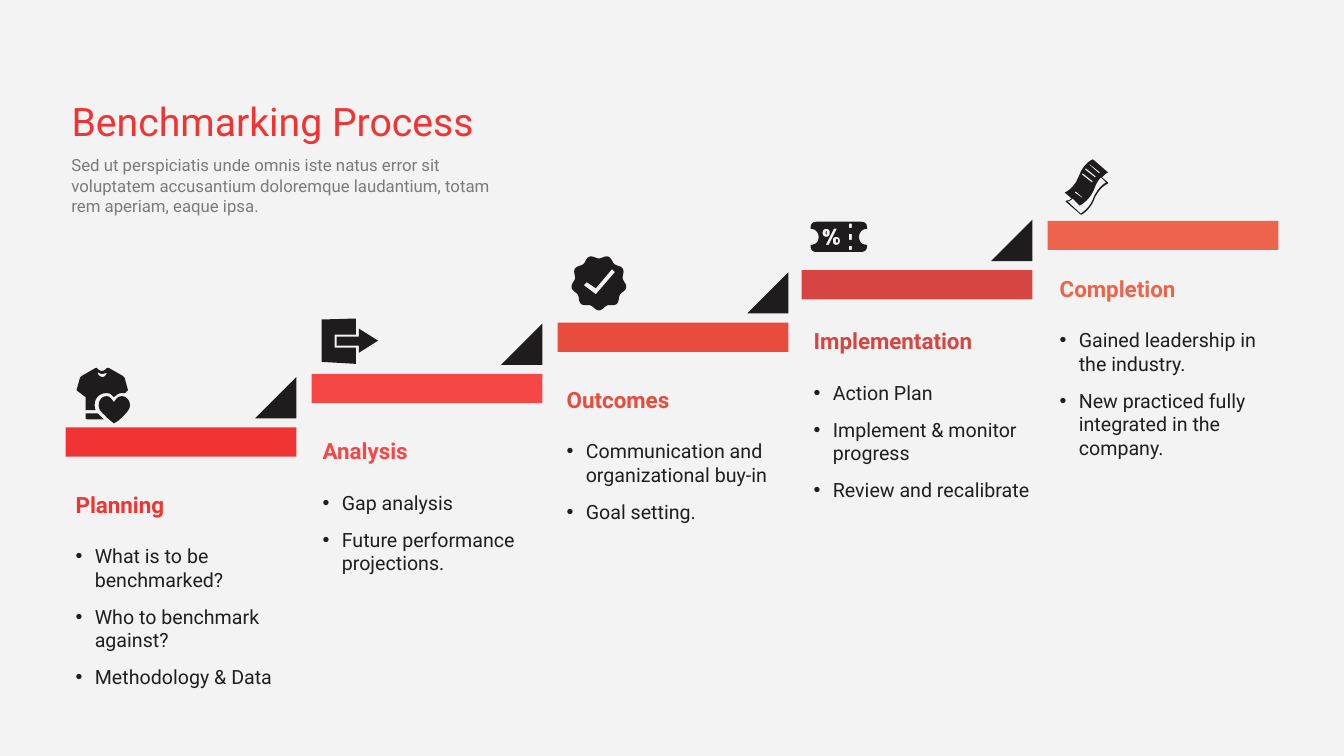
from copy import deepcopy
from dataclasses import dataclass
from math import cos, pi, sin

from lxml import etree
from pptx import Presentation
from pptx.dml.color import RGBColor
from pptx.enum.shapes import MSO_SHAPE
from pptx.enum.text import MSO_ANCHOR, MSO_AUTO_SIZE, PP_ALIGN
from pptx.oxml.ns import qn
from pptx.shapes.base import BaseShape
from pptx.slide import Slide, SlideLayout
from pptx.text.text import TextFrame
from pptx.util import Emu, Pt

RECTANGLE = MSO_SHAPE.RECTANGLE
TOP, BOTTOM = MSO_ANCHOR.TOP, MSO_ANCHOR.BOTTOM
LEFT = PP_ALIGN.LEFT
NO_AUTOFIT = MSO_AUTO_SIZE.NONE

EMU_PER_PX = 9144
FONT = "Roboto"
BAR_WIDTH, BAR_HEIGHT = 229, 29
TRIANGLE_SIDE, TRIANGLE_RISE = 41, 50
BULLET_INDENT = 19
CURVE_STEPS = 6
SUBTITLE_ALPHA = 56000
COLORS = {
    "background": "F3F3F3", "text": "201E1E", "icon": "1E1C1C",
    "planning": "F03434", "analysis": "F64747", "outcomes": "E74C3C",
    "implementation": "D64541", "completion": "EC644B",
}

Point = tuple[float, float]
Box = tuple[int, int, int, int]


def badge_path() -> str:
    outline = []
    for step in range(108):
        angle = 2 * pi * step / 108
        radius = 25.75 + 1.75 * cos(9 * (angle - pi / 2))
        outline.append(f"{28 + radius * cos(angle):.2f},{27.5 + radius * sin(angle):.2f}")
    return "M" + " L".join(outline) + " M25,39 L13,30 L16,27 L25,33 L41,14 L44,17"


TRIANGLE = f"M{TRIANGLE_SIDE},0 L{TRIANGLE_SIDE},{TRIANGLE_SIDE} L0,{TRIANGLE_SIDE}"
SHIRT = (
    "M9,42 L19,42 C18,40 18,38 18,36 C18,30 23,25 29,25 C30,25 32,25 34,26 "
    "C35,27 36,28 37,29 C38,28 40,27 41,26 C43,25 44,25 46,25 L48,25 L50,23 L51,22 "
    "L48,11 C48,10 47,9 46,8 L32,0 L30,0 C30,0 28,3 25,3 C23,3 21,1 21,1 L20,0 L19,0 "
    "L5,8 C4,9 3,10 3,11 L0,22 L1,23 L9,29 "
    "M25,6 C27,6 29,5 30,5 C30,6 28,9 26,9 C23,9 21,7 21,4 C22,5 24,6 25,6 "
    "M21,45 L9,45 L9,49 C9,50 9,51 11,51 L27,51 C25,49 23,47 21,45 "
    "M45,28 C49,28 53,32 53,37 C53,42 48,46 42,52 L37,55 L31,50 C29,48 27,46 25,44 "
    "C23,42 22,40 22,37 C22,32 25,28 30,28 C33,28 35,31 37,34 C39,31 41,28 45,28"
)
EXIT_ARROW = (
    "M34,16 L13,16 L13,29 L34,29 L34,45 L0,43 L0,1 L34,0 "
    "M37,10 L56,22 L37,34 L37,27 L15,27 L15,18 L37,18"
)
TICKET = (
    "M56,7 L56,6 C56,2 54,0 50,0 L6,0 C2,0 0,2 0,6 L0,7 C5,7 8,11 8,15 C8,20 5,23 0,23 "
    "L0,24 C0,28 2,30 6,30 L50,30 C54,30 56,28 56,24 L56,23 C51,23 48,20 48,15 "
    "C48,11 51,7 56,7 "
    "M12,12 L12,10 C12,6 19,6 19,10 L19,12 C19,16 12,16 12,12 "
    "M15,10 C15,9 16,9 16,10 L16,12 C16,13 15,13 15,12 "
    "M22,20 L22,18 C22,14 29,14 29,18 L29,20 C29,24 22,24 22,20 "
    "M25,18 C25,17 27,17 27,18 L27,20 C27,21 25,21 25,20 "
    "M23,7 L26,7 L18,23 L15,23 M38,2 L41,2 L41,6 L38,6 "
    "M38,12 L41,12 L41,18 L38,18 M38,24 L41,24 L41,28 L38,28"
)
PAPERS = (
    "M37,18 C39,16 41,14 43,13 L28,0 C28,0 18,4 14,17 C9,30 0,33 0,33 L7,39 "
    "C5,40 4,41 2,41 L1,42 L16,55 L17,55 C23,51 28,45 30,38 C33,32 37,27 43,24 L43,23 "
    "M25,5 L35,13 L34,14 L24,5 M21,9 L31,17 L30,18 L20,10 "
    "M18,14 L28,22 L27,23 L17,15 M11,32 L18,38 L17,38 L10,33 "
    "M29,37 C27,44 22,50 16,54 L3,42 C5,41 6,41 8,39 L15,46 C22,42 27,36 30,28 "
    "C31,25 33,21 36,18 L41,23 C36,26 32,31 29,37"
)


@dataclass(frozen=True)
class Stage:
    name: str
    bar: tuple[int, int]
    text_box: Box
    icon: str
    icon_origin: tuple[int, int]
    items: tuple[str, ...]


STAGES = (
    Stage("Planning", (65, 424), (65, 482, 229, 209), SHIRT, (76, 365),
          ("What is to be benchmarked?", "Who to benchmark against?", "Methodology & Data")),
    Stage("Analysis", (309, 371), (310, 429, 229, 148), EXIT_ARROW, (319, 316),
          ("Gap analysis", "Future performance projections.")),
    Stage("Outcomes", (553, 320), (552, 378, 229, 148), badge_path(), (566, 253),
          ("Communication and organizational buy-in", "Goal setting.")),
    Stage("Implementation", (795, 268), (797, 320, 235, 185), TICKET, (804, 220),
          ("Action Plan", "Implement & monitor progress", "Review and recalibrate")),
    Stage("Completion", (1039, 219), (1041, 268, 229, 195), PAPERS, (1056, 158),
          ("Gained leadership in the industry.",
           "New practiced fully integrated in the company.")),
)


def px(length: float) -> Emu:
    return Emu(round(length * EMU_PER_PX))


def paint(shape: BaseShape, color: str) -> None:
    shape.shadow.inherit = False
    shape.fill.solid()
    shape.fill.fore_color.rgb = RGBColor.from_string(COLORS[color])
    shape.line.fill.background()


def contours(path: str) -> list[list[Point]]:
    result: list[list[Point]] = []
    controls: list[Point] = []
    command = ""
    for token in path.split():
        if token[0] in "MLC":
            command, token = token[0], token[1:]
        x, y = (float(value) for value in token.split(","))
        if command == "M":
            result.append([(x, y)])
        elif command == "L":
            result[-1].append((x, y))
        else:
            controls.append((x, y))
            if len(controls) == 3:
                corners = [result[-1][-1], *controls]
                for step in range(1, CURVE_STEPS + 1):
                    t = step / CURVE_STEPS
                    weights = ((1 - t) ** 3, 3 * t * (1 - t) ** 2, 3 * t * t * (1 - t), t ** 3)
                    result[-1].append(tuple(
                        sum(w * corner[axis] for w, corner in zip(weights, corners))
                        for axis in (0, 1)))
                controls = []
    return result


def draw_outline(slide: Slide, path: str, left: int, top: int) -> None:
    outlines = [[(px(x), px(y)) for x, y in contour] for contour in contours(path)]
    builder = slide.shapes.build_freeform(*outlines[0][0], scale=1.0)
    for index, outline in enumerate(outlines):
        if index:
            builder.move_to(*outline[0])
        builder.add_line_segments(outline[1:], close=True)
    paint(builder.convert_to_shape(px(left), px(top)), "icon")


def prepare_text(shape: BaseShape, box: Box, text: str, anchor: MSO_ANCHOR) -> TextFrame:
    shape.left, shape.top, shape.width, shape.height = (px(length) for length in box)
    frame = shape.text_frame
    frame.text = text
    frame.word_wrap = True
    frame.auto_size = NO_AUTOFIT
    frame.vertical_anchor = anchor
    frame.margin_left = frame.margin_right = px(10)
    frame.margin_top = frame.margin_bottom = px(5)
    for paragraph in frame.paragraphs:
        paragraph.alignment = LEFT
        paragraph.space_before = Pt(0)
    return frame


def format_runs(paragraph, size: int, color: str, bold: bool = False) -> None:
    for run in paragraph.runs:
        run.font.name, run.font.size, run.font.bold = FONT, Pt(size), bold
        run.font.color.rgb = RGBColor.from_string(COLORS[color])


def set_bullet(paragraph, character: str) -> None:
    properties = paragraph._p.get_or_add_pPr()
    indent = px(BULLET_INDENT) if character else 0
    properties.set("marL", str(indent))
    properties.set("indent", str(-indent))
    if character:
        etree.SubElement(properties, qn("a:buFont")).set("typeface", "Arial")
        etree.SubElement(properties, qn("a:buChar")).set("char", character)
    else:
        etree.SubElement(properties, qn("a:buNone"))


def add_list_placeholders(layout: SlideLayout, count: int) -> None:
    source = layout.placeholders[1]._element
    for number in range(count - 1, 0, -1):
        element = deepcopy(source)
        element.ph.set("idx", str(20 + number))
        element.nvSpPr.cNvPr.set("id", str(20 + number))
        element.nvSpPr.cNvPr.set("name", f"Content Placeholder {20 + number}")
        source.addnext(element)


def draw_heading(slide: Slide) -> None:
    title = prepare_text(slide.shapes.title, (61, 91, 436, 57), "Benchmarking Process", BOTTOM)
    format_runs(title.paragraphs[0], 28, "planning")
    subtitle = prepare_text(
        slide.shapes.add_textbox(0, 0, 0, 0), (61, 149, 436, 71),
        "Sed ut perspiciatis unde omnis iste natus error sit voluptatem accusantium "
        "doloremque laudantium, totam rem aperiam, eaque ipsa.", TOP)
    format_runs(subtitle.paragraphs[0], 12, "text")
    for color in subtitle._txBody.iter(qn("a:srgbClr")):
        etree.SubElement(color, qn("a:alpha")).set("val", str(SUBTITLE_ALPHA))


def draw_stage(slide: Slide, stage: Stage, placeholder: BaseShape, is_last: bool) -> None:
    color = stage.name.lower()
    left, top = stage.bar
    if not is_last:
        draw_outline(slide, TRIANGLE, left + BAR_WIDTH - TRIANGLE_SIDE, top - TRIANGLE_RISE)
    bar = slide.shapes.add_shape(RECTANGLE, px(left), px(top), px(BAR_WIDTH), px(BAR_HEIGHT))
    paint(bar, color)
    draw_outline(slide, stage.icon, *stage.icon_origin)
    frame = prepare_text(placeholder, stage.text_box, "\n".join((stage.name, *stage.items)), TOP)
    heading, *items = frame.paragraphs
    set_bullet(heading, "")
    format_runs(heading, 16, color, bold=True)
    for index, item in enumerate(items):
        set_bullet(item, "•")
        item.space_before = Pt(9.5 if index else 18.8)
        format_runs(item, 14, "text")


def main() -> None:
    presentation = Presentation()
    presentation.slide_width, presentation.slide_height = px(1333), px(750)
    layout = presentation.slide_layouts[1]
    add_list_placeholders(layout, len(STAGES))
    slide = presentation.slides.add_slide(layout)
    slide.background.fill.solid()
    slide.background.fill.fore_color.rgb = RGBColor.from_string(COLORS["background"])
    draw_heading(slide)
    lists = [shape for shape in slide.placeholders if shape.placeholder_format.idx]
    for stage, placeholder in zip(STAGES, lists):
        draw_stage(slide, stage, placeholder, stage is STAGES[-1])
    presentation.save("out.pptx")


if __name__ == "__main__":
    main()
